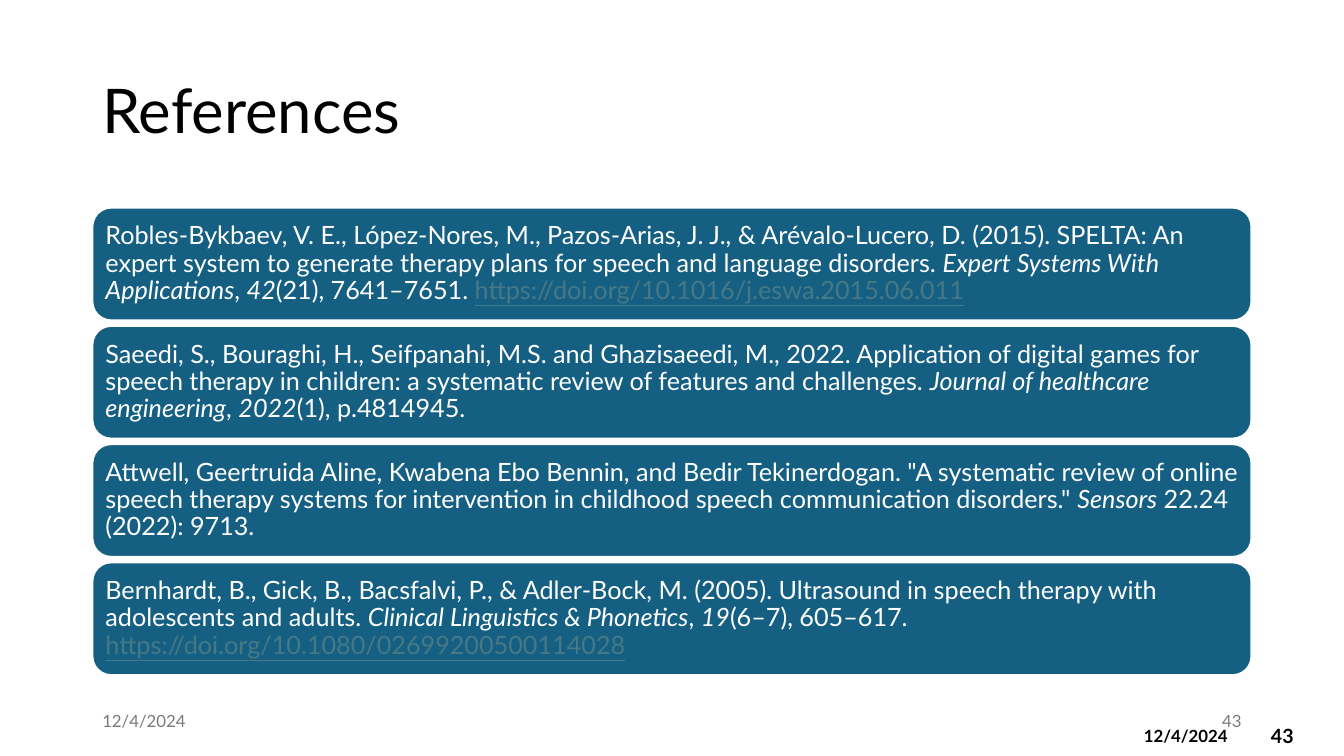
import pptx
import pptx.dml.color
import pptx.enum.shapes
import pptx.enum.text
import pptx.util

Pt = pptx.util.Pt
RGBColor = pptx.dml.color.RGBColor
Align = pptx.enum.text.PP_ALIGN
Anchor = pptx.enum.text.MSO_ANCHOR

WHITE = RGBColor(0xFF, 0xFF, 0xFF)
BLACK = RGBColor(0x00, 0x00, 0x00)
GREY = RGBColor(0x79, 0x79, 0x79)
TEAL = RGBColor(0x15, 0x60, 0x82)
LINK_BLUE = RGBColor(0x46, 0x78, 0x86)

FONT = "Lato"
PLAIN = {}
ITALIC = {"italic": True}
LINK = {"underline": True, "color": LINK_BLUE}

REFERENCES = [
    [
        ("Robles-Bykbaev, V. E., López-Nores, M., Pazos-Arias, J. J., & Arévalo-Lucero, D. (2015). "
         "SPELTA: An expert system to generate therapy plans for speech and language disorders. ", PLAIN),
        ("Expert Systems With Applications", ITALIC),
        (", ", PLAIN),
        ("42", ITALIC),
        ("(21), 7641–7651. ", PLAIN),
        ("https://doi.org/10.1016/j.eswa.2015.06.011", LINK),
    ],
    [
        ("Saeedi, S., Bouraghi, H., Seifpanahi, M.S. and Ghazisaeedi, M., 2022. Application of digital games "
         "for speech therapy in children: a systematic review of features and challenges. ", PLAIN),
        ("Journal of healthcare engineering", ITALIC),
        (", ", PLAIN),
        ("2022", ITALIC),
        ("(1), p.4814945.", PLAIN),
    ],
    [
        ("Attwell, Geertruida Aline, Kwabena Ebo Bennin, and Bedir Tekinerdogan. \"A systematic review of online "
         "speech therapy systems for intervention in childhood speech communication disorders.\" ", PLAIN),
        ("Sensors", ITALIC),
        (" 22.24 (2022): 9713.", PLAIN),
    ],
    [
        ("Bernhardt, B., Gick, B., Bacsfalvi, P., & Adler‐Bock, M. (2005). Ultrasound in speech therapy "
         "with adolescents and adults. ", PLAIN),
        ("Clinical Linguistics & Phonetics", ITALIC),
        (", ", PLAIN),
        ("19", ITALIC),
        ("(6–7), 605–617. ", PLAIN),
        ("https://doi.org/10.1080/02699200500114028", LINK),
    ],
]


def add_run(para, text, **formats):
    span = para.add_run()
    span.text = text
    span.font.color.rgb = formats.pop("color")
    for name, value in {"name": FONT, **formats}.items():
        setattr(span.font, name, value)


def add_label(page, box, text, align=Align.LEFT, spacing=1.0, **formats):
    label = page.shapes.add_textbox(*map(Pt, box))
    frame = label.text_frame
    frame.word_wrap = True
    frame.vertical_anchor = Anchor.MIDDLE
    para = frame.paragraphs[0]
    para.alignment = align
    para.line_spacing = spacing
    add_run(para, text, **formats)


def add_card(page, box, reference):
    card = page.shapes.add_shape(pptx.enum.shapes.MSO_SHAPE.ROUNDED_RECTANGLE, *map(Pt, box))
    card.shadow.inherit = False
    card.fill.solid()
    card.fill.fore_color.rgb = TEAL
    card.line.color.rgb = WHITE
    card.line.width = Pt(1.5)
    frame = card.text_frame
    frame.word_wrap = True
    frame.vertical_anchor = Anchor.MIDDLE
    for side in ("left", "top", "right", "bottom"):
        setattr(frame, f"margin_{side}", Pt(5.4))
    para = frame.paragraphs[0]
    para.alignment = Align.LEFT
    para.line_spacing = 0.9
    for text, style in reference:
        add_run(para, text, **{"size": Pt(18), "color": WHITE, **style})


def add_reference_list(page, box, references, gap=3.85):
    left, top, width, height = box
    card_height = (height + gap) / len(references) - gap
    for index, reference in enumerate(references):
        add_card(page, (left, top + index * (card_height + gap), width, card_height), reference)


def add_footer(page, box, date, number):
    left, top, width, height = box
    small = {"size": Pt(12), "color": GREY}
    add_label(page, (left, top, 216, height), date, **small)
    add_label(page, (left + width - 216, top, 216, height), number, align=Align.RIGHT, **small)


def add_corner_stamp(page, box, date, number):
    left, top, width, height = box
    bold = {"bold": True, "color": BLACK}
    add_label(page, (left + width - 53, top, 53, height), number, size=Pt(14), **bold)
    add_label(page, (left, top + 3.6, 84, 21.8), date, size=Pt(12), **bold)


def main():
    deck = pptx.Presentation()
    deck.slide_width, deck.slide_height = Pt(960), Pt(540)
    page = deck.slides.add_slide(deck.slide_layouts[6])
    add_corner_stamp(page, (810, 511.2, 143.8, 28.8), "12/4/2024", "43")
    add_label(page, (66, 28.8, 828, 104.4), "References", spacing=0.9, size=Pt(44), color=BLACK)
    add_footer(page, (66, 500.4, 828, 28.8), "12/4/2024", "43")
    add_reference_list(page, (66, 148.3, 828, 334), REFERENCES)
    deck.save("out.pptx")


if __name__ == "__main__":
    main()
